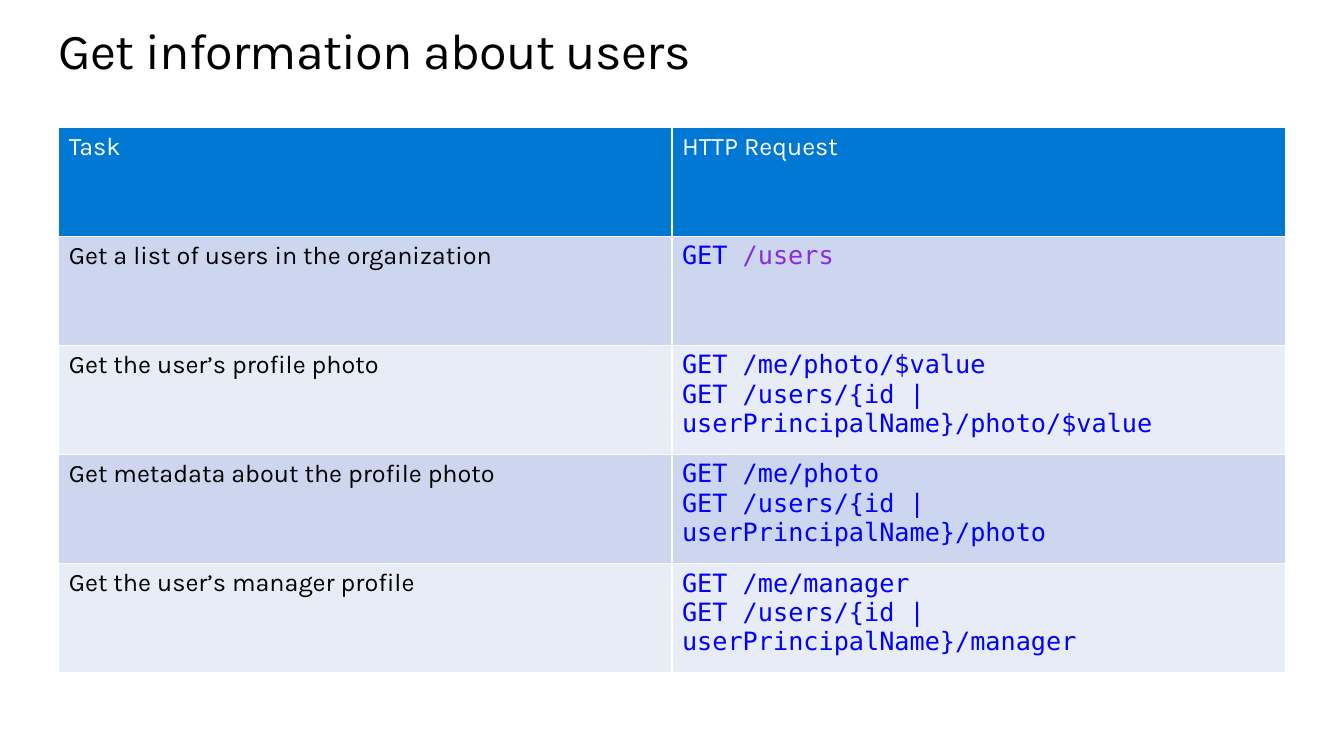
from dataclasses import dataclass

from pptx import Presentation
from pptx import util as u
from pptx.dml.color import RGBColor
from pptx.enum import text

PX = 9525
SANS = "Karla"
MONO = "DejaVu Sans Mono"
COLORS = {
    "black": "000000",
    "white": "FFFFFF",
    "head": "0078D4",
    "dark": "CCD6EF",
    "light": "E7ECF7",
    "code": "0000FF",
    "route": "8A2BE2",
}


@dataclass(frozen=True)
class Task:
    name: str
    calls: tuple[str, ...]


TASKS = [
    Task("Get a list of users in the organization", ("GET /users",)),
    Task("Get the user’s profile photo",
         ("GET /me/photo/$value", "GET /users/{id | userPrincipalName}/photo/$value")),
    Task("Get metadata about the profile photo",
         ("GET /me/photo", "GET /users/{id | userPrincipalName}/photo")),
    Task("Get the user’s manager profile",
         ("GET /me/manager", "GET /users/{id | userPrincipalName}/manager")),
]


def px(n: int) -> u.Emu:
    return u.Emu(n * PX)


def rgb(name: str) -> RGBColor:
    return RGBColor.from_string(COLORS[name])


def style(font, face: str, size: int, color: str) -> None:
    font.name = face
    font.size = u.Pt(size)
    font.bold = False
    font.color.rgb = rgb(color)


def add_title(slide, words: str) -> None:
    box = slide.shapes.add_textbox(px(56), px(18), px(1104), px(59))
    frame = box.text_frame
    frame.word_wrap = True
    frame.auto_size = text.MSO_AUTO_SIZE.SHAPE_TO_FIT_TEXT
    frame.margin_left = frame.margin_top = frame.margin_right = frame.margin_bottom = 0
    para = frame.paragraphs[0]
    run = para.add_run()
    run.text = words
    style(para.font, SANS, 36, "black")
    run.font._element.set("spc", "-50")


def fill_cell(cell, lines: tuple[str, ...], face: str, color: str, back: str) -> None:
    cell.fill.solid()
    cell.fill.fore_color.rgb = rgb(back)
    cell.text = "\n".join(lines)
    for para in cell.text_frame.paragraphs:
        style(para.font, face, 18, color)


def split_route(cell) -> None:
    para = cell.text_frame.paragraphs[0]
    verb = para.runs[0]
    word, route = verb.text.split(" ")
    verb.text = word + " "
    run = para.add_run()
    run.text = route
    run.font.color.rgb = rgb("route")


def add_tasks(slide, tasks: list[Task]) -> None:
    count = len(tasks) + 1
    table = slide.shapes.add_table(
        count, 2, px(56), px(121), px(1168), px(104 * count)).table
    for col, label in enumerate(("Task", "HTTP Request")):
        fill_cell(table.cell(0, col), (label,), SANS, "white", "head")
    for row, task in enumerate(tasks, 1):
        back = "dark" if row % 2 else "light"
        fill_cell(table.cell(row, 0), (task.name,), SANS, "black", back)
        fill_cell(table.cell(row, 1), task.calls, MONO, "code", back)
    split_route(table.cell(1, 1))


def main() -> None:
    deck = Presentation()
    deck.slide_width, deck.slide_height = px(1280), px(720)
    slide = deck.slides.add_slide(deck.slide_layouts[6])
    add_title(slide, "Get information about users")
    add_tasks(slide, TASKS)
    deck.save("out.pptx")


if __name__ == "__main__":
    main()
